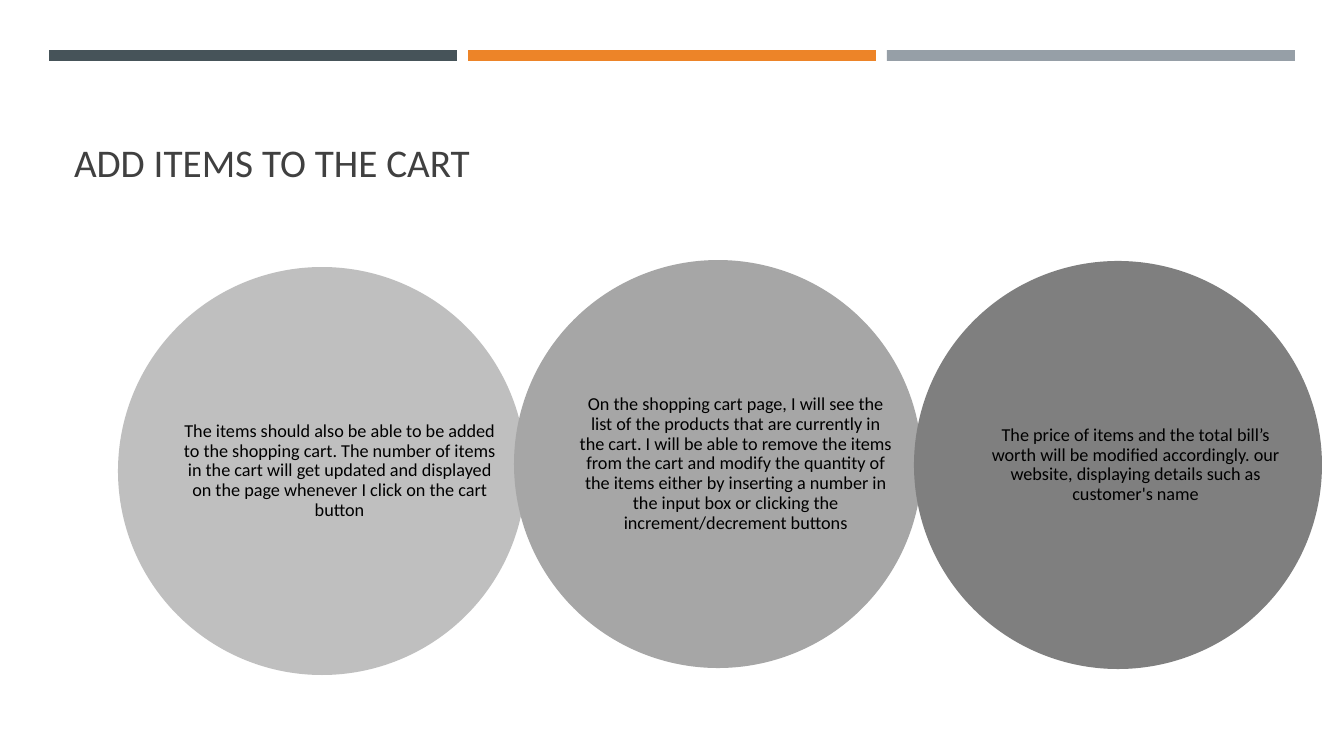
from pptx import Presentation
from pptx.dml.color import RGBColor
from pptx.enum.shapes import MSO_SHAPE as Shape
from pptx.enum.text import MSO_ANCHOR as Anchor, PP_ALIGN as Align
from pptx.util import Emu, Pt

COLORS = {
    "slate": "465359", "orange": "ED8428", "steel": "969FA7",
    "light": "BFBFBF", "medium": "A6A6A6", "dark": "7F7F7F",
    "title": "404040", "body": "000000",
}


def px(*lengths):
    return [Emu(round(length * 914400 / 100.8)) for length in lengths]


def add_text(text, box, insets, anchor, align, size, color, spacing):
    frame = slide.shapes.add_textbox(*px(*box)).text_frame
    frame.word_wrap = True
    frame.vertical_anchor = anchor
    (frame.margin_left, frame.margin_top,
     frame.margin_right, frame.margin_bottom) = px(*insets)
    frame.text = text
    paragraph = frame.paragraphs[0]
    paragraph.alignment = align
    paragraph.line_spacing = spacing
    font = paragraph.runs[0].font
    font.name = "Calibri"
    font.size = Pt(size)
    font.color.rgb = RGBColor.from_string(COLORS[color])


presentation = Presentation()
presentation.slide_width, presentation.slide_height = px(1344, 756)
slide = presentation.slides.add_slide(presentation.slide_layouts[6])

circles = [
    (118, 267, "light",
     "The items should also be able to be added to the shopping cart. "
     "The number of items in the cart will get updated and displayed "
     "on the page whenever I click on the cart button"),
    (514, 260, "medium",
     "On the shopping cart page, I will see the list of the products "
     "that are currently in the cart. I will be able to remove the items "
     "from the cart and modify the quantity of the items either by "
     "inserting a number in the input box or clicking the "
     "increment/decrement buttons"),
    (914, 261, "dark",
     "The price of items and the total bill’s worth will be modified "
     "accordingly. our website, displaying details such as customer's name"),
]

bars = [(Shape.RECTANGLE, 49 + 419 * index, 50, 408, 11, color)
        for index, color in enumerate(["slate", "orange", "steel"])]
discs = [(Shape.OVAL, left, top, 408, 408, color)
         for left, top, color, text in circles]

for kind, left, top, width, height, color in bars + discs:
    shape = slide.shapes.add_shape(kind, *px(left, top, width, height))
    shape.shadow.inherit = False
    shape.fill.solid()
    shape.fill.fore_color.rgb = RGBColor.from_string(COLORS[color])
    shape.line.fill.background()

for left, top, color, text in circles:
    add_text(text, (left + 65, top, 343, 408), (0, 10, 30, 10),
             Anchor.MIDDLE, Align.CENTER, 13, "body", 0.9)

add_text("ADD ITEMS TO THE CART", (64, 81, 1216, 109), (10, 5, 10, 5),
         Anchor.BOTTOM, Align.LEFT, 28, "title", 1.0)

presentation.save("out.pptx")
